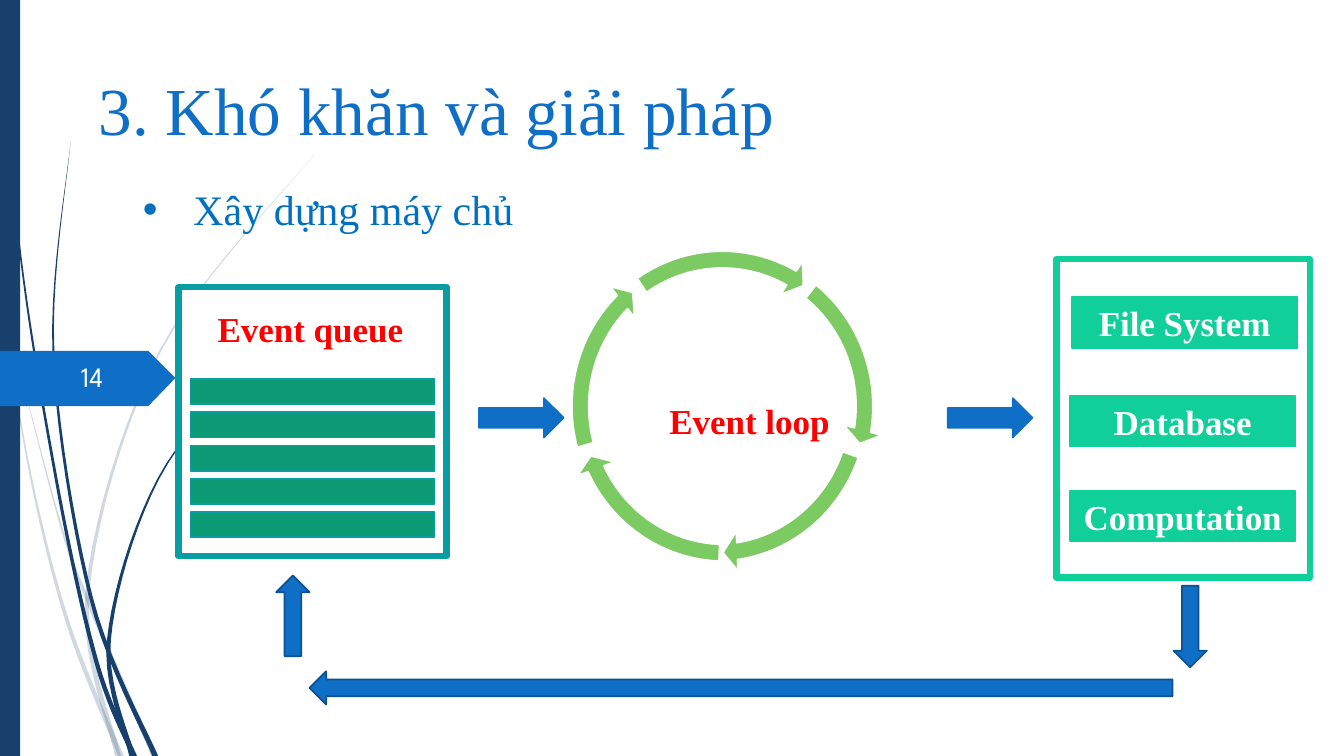
from dataclasses import dataclass
from typing import Optional

from lxml.etree import SubElement
from pptx import Presentation
from pptx.dml.color import RGBColor
from pptx.enum.shapes import MSO_SHAPE
from pptx.enum.text import MSO_ANCHOR, PP_ALIGN
from pptx.oxml.ns import qn
from pptx.util import Cm, Pt

COLORS = {
    "navy": "17406D", "blue": "0F6FC6", "dark_blue": "0B5292", "bullet": "0070C0",
    "lime": "7CCA62", "teal": "089CA3", "green": "0C9B74", "mint": "10CF9B",
    "red": "FF0000", "white": "FFFFFF", "number": "FEFFFF",
}
Point = tuple[float, float]
Area = tuple[float, float, float, float]


@dataclass
class Strand:
    opacity: int
    centre: tuple[Point, ...]


@dataclass
class Label:
    text: str
    size: int
    color: str
    bold: bool = False
    font: str = "Times New Roman"
    align: PP_ALIGN = PP_ALIGN.LEFT
    anchor: MSO_ANCHOR = MSO_ANCHOR.TOP
    bullet: bool = False


@dataclass
class Block:
    kind: MSO_SHAPE
    area: Area
    fill: Optional[str]
    line: Optional[str] = None
    weight: float = 1.25
    label: Optional[Label] = None
    adjustments: tuple[float, ...] = ()


STRANDS = [
    Strand(20, ((0, 2.9), (.3, 4.7), (.68, 6.2), (1.2, 7.5))),
    Strand(20, ((.14, 3.45), (.6, 5.2), (.9, 6.03), (1.53, 7.5))),
    Strand(20, ((3.12, 1.53), (1.59, 3.48), (.87, 5.84), (1.17, 7.5))),
    Strand(100, ((.04, 0), (.18, 2.33), (.56, 4.77), (.96, 6.58), (1.33, 7.5))),
    Strand(100, ((.7, 1.41), (.53, 3.49), (.9, 5.92), (1.54, 7.5))),
    Strand(100, ((2.6, 3.44), (1.57, 4.75), (1.08, 6.35), (1.31, 7.5))),
]
NUMBER_TAG = [(0, 3.48), (1.47, 3.48), (1.74, 3.75), (1.47, 4.03), (0, 4.03)]
LOOP_LEFTS = [5.56, 5.5, 5.58, 5.56, 5.56]
SERVICES = [("File System", 10.63, 2.95), ("Database", 10.61, 3.93), ("Computation", 10.61, 4.87)]


def inches(value: float) -> Cm:
    return Cm(value * 2.54)


def rgb(name: str) -> RGBColor:
    return RGBColor.from_string(COLORS[name])


def smooth(points: tuple[Point, ...], steps: int = 10) -> list[Point]:
    padded = (points[0], *points, points[-1])
    curve = [points[0]]
    for before, start, end, after in zip(padded, padded[1:], padded[2:], padded[3:]):
        for step in range(1, steps + 1):
            t = step / steps
            curve.append(tuple(
                b + (c - a) * t / 2 + (2 * a - 5 * b + 4 * c - d) * t ** 2 / 2
                + (3 * b - a - 3 * c + d) * t ** 3 / 2
                for a, b, c, d in zip(before, start, end, after)))
    return curve


def taper(centre: tuple[Point, ...], width: float = .06) -> list[Point]:
    curve = smooth(centre)
    halves = [width / 2 * index / len(curve) for index in range(len(curve))]
    right = [(x + half, y) for (x, y), half in zip(curve, halves)]
    left = [(x - half, y) for (x, y), half in zip(curve, halves)]
    return right + left[::-1]


def draw_outline(page, points: list[Point], color: str, opacity: int = 100) -> None:
    corners = [(inches(x), inches(y)) for x, y in points]
    builder = page.shapes.build_freeform(*corners[0])
    builder.add_line_segments(corners[1:], close=True)
    shape = builder.convert_to_shape()
    shape.shadow.inherit = False
    shape.fill.solid()
    shape.fill.fore_color.rgb = rgb(color)
    shape.line.fill.background()
    if opacity < 100:
        tint = shape._element.spPr.find(qn("a:solidFill"))[0]
        SubElement(tint, qn("a:alpha"), val=str(opacity * 1000))


def write_label(box, label: Label) -> None:
    frame = box.text_frame
    frame.word_wrap = True
    frame.vertical_anchor = label.anchor
    para = frame.paragraphs[0]
    para.text = label.text
    para.alignment = label.align
    if label.bullet:
        properties = para._p.get_or_add_pPr()
        properties.set("marL", str(inches(.5)))
        properties.set("indent", str(inches(-.5)))
        SubElement(properties, qn("a:buFont"), typeface="Arial")
        SubElement(properties, qn("a:buChar"), char="•")
    para.font.name, para.font.size, para.font.bold = label.font, Pt(label.size), label.bold
    para.font.color.rgb = rgb(label.color)


def draw_text(page, area: Area, label: Label) -> None:
    write_label(page.shapes.add_textbox(*map(inches, area)), label)


def draw_block(page, block: Block) -> None:
    shape = page.shapes.add_shape(block.kind, *map(inches, block.area))
    shape.shadow.inherit = False
    for index, value in enumerate(block.adjustments):
        shape.adjustments[index] = value
    if block.fill:
        shape.fill.solid()
        shape.fill.fore_color.rgb = rgb(block.fill)
    else:
        shape.fill.background()
    if block.line:
        shape.line.color.rgb = rgb(block.line)
        shape.line.width = Pt(block.weight)
    else:
        shape.line.fill.background()
    if block.label:
        write_label(shape, block.label)


def main() -> None:
    deck = Presentation()
    deck.slide_width, deck.slide_height = inches(13.33), inches(7.5)
    page = deck.slides.add_slide(deck.slide_layouts[6])
    box = MSO_SHAPE.RECTANGLE
    for strand in STRANDS:
        draw_outline(page, taper(strand.centre), "navy", strand.opacity)
    draw_block(page, Block(box, (0, 0, .2, 7.5), "navy"))
    draw_outline(page, NUMBER_TAG, "blue")
    draw_text(page, (.88, .46, 7.1, 1.07),
              Label("3. Khó khăn và giải pháp", 48, "blue", anchor=MSO_ANCHOR.BOTTOM))
    draw_text(page, (1.32, 1.77, 4.03, .61), Label("Xây dựng máy chủ", 30, "bullet", bullet=True))
    draw_text(page, (.27, 3.53, .85, .4), Label("14", 20, "number", font="League Spartan",
                                               align=PP_ALIGN.RIGHT, anchor=MSO_ANCHOR.MIDDLE))
    for index, left in enumerate(LOOP_LEFTS):
        turn = 43.3 * index
        draw_block(page, Block(MSO_SHAPE.CIRCULAR_ARROW, (left, 2.38, 3.21, 3.3), "lime", "white",
                               adjustments=(.052, 3.36, 5.8 + turn, (184.6 + turn) % 216, .061)))
    draw_text(page, (6.54, 3.91, 1.82, .52), Label("Event loop", 25, "red", True))
    draw_block(page, Block(box, (1.77, 2.85, 2.66, 2.67), "white", "teal", 4.5))
    for index in range(5):
        draw_block(page, Block(box, (1.89, 3.76 + .33 * index, 2.42, .25), "green", "teal"))
    draw_block(page, Block(box, (2.06, 3, 2.1, .52), None, "white", .75,
                           Label("Event queue", 25, "red", True)))
    draw_block(page, Block(box, (10.48, 2.57, 2.51, 3.16), "white", "mint", 4.5))
    for name, left, top in SERVICES:
        label = Label(name, 25, "white", True, align=PP_ALIGN.CENTER, anchor=MSO_ANCHOR.MIDDLE)
        draw_block(page, Block(box, (left, top, 2.24, .5), "mint", "mint", label=label))
    for left in (4.75, 9.4):
        draw_block(page, Block(MSO_SHAPE.RIGHT_ARROW, (left, 3.95, .84, .39), "blue", "blue"))
    for kind, area in ((MSO_SHAPE.DOWN_ARROW, (11.64, 5.81, .33, .81)),
                       (MSO_SHAPE.LEFT_ARROW, (3.07, 6.66, 8.56, .33)),
                       (MSO_SHAPE.UP_ARROW, (2.74, 5.71, .33, .8))):
        draw_block(page, Block(kind, area, "blue", "dark_blue"))
    deck.save("out.pptx")


if __name__ == "__main__":
    main()
